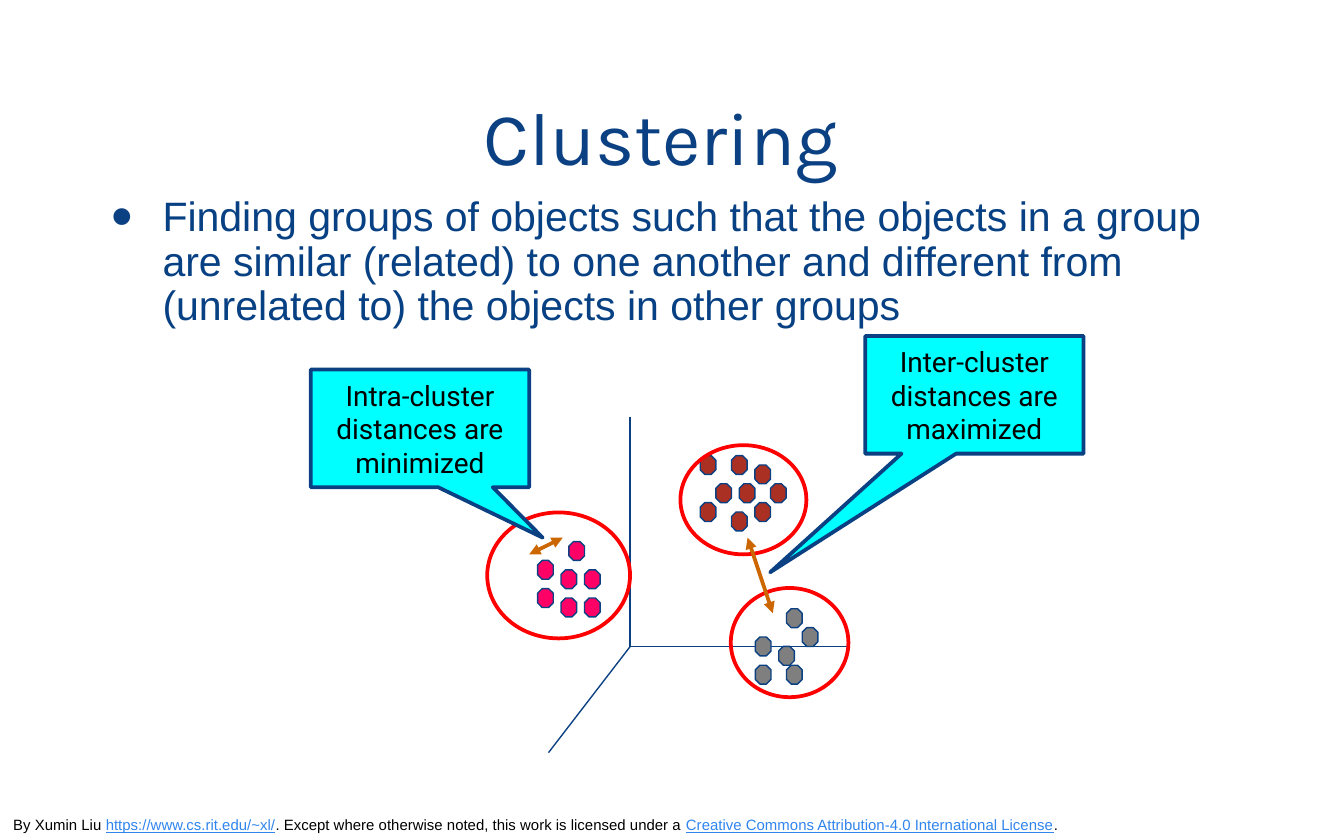
from dataclasses import dataclass
from typing import Any

from lxml import etree
from pptx import Presentation
from pptx.dml.color import RGBColor
from pptx.enum.shapes import MSO_CONNECTOR, MSO_SHAPE
from pptx.enum.text import MSO_ANCHOR, PP_ALIGN
from pptx.oxml.ns import qn
from pptx.util import Emu, Inches, Pt

STRAIGHT = MSO_CONNECTOR.STRAIGHT
OCTAGON, OVAL = MSO_SHAPE.OCTAGON, MSO_SHAPE.OVAL
CALLOUT = MSO_SHAPE.RECTANGULAR_CALLOUT
LEFT, CENTER = PP_ALIGN.LEFT, PP_ALIGN.CENTER
TOP, MIDDLE, BOTTOM = MSO_ANCHOR.TOP, MSO_ANCHOR.MIDDLE, MSO_ANCHOR.BOTTOM
COLUMNS, ROWS = 160, 100
CELL = Inches(10) / COLUMNS
DOT_STEP = (0.93, 1.12)


@dataclass(frozen=True)
class Theme:
    navy: str = "0B4183"
    body: str = "084183"
    black: str = "000000"
    link: str = "3085ED"
    cyan: str = "00FFFF"
    ring: str = "FF0000"
    arrow: str = "CC6600"
    title_size: float = 40
    body_size: float = 22
    callout_size: float = 15
    footer_size: float = 8
    thin: float = 0.75
    thick: float = 2


THEME = Theme()


@dataclass(frozen=True)
class Area:
    column: float
    row: float
    columns: float
    rows: float

    def lengths(self) -> list[Emu]:
        return [cells(n) for n in (self.column, self.row, self.columns, self.rows)]


@dataclass(frozen=True)
class Cluster:
    color: str
    column: float
    row: float
    dots: tuple[tuple[int, int], ...]
    ring: Area


@dataclass(frozen=True)
class Stroke:
    start: tuple[float, float]
    end: tuple[float, float]


@dataclass(frozen=True)
class Callout:
    text: str
    area: Area
    tip: tuple[float, float]


@dataclass(frozen=True)
class TextStyle:
    font: str
    size: float
    color: str
    align: Any = LEFT
    anchor: Any = TOP
    insets: tuple[float, float, float, float] = (0.1, 0.05, 0.1, 0.05)


CLUSTERS = (
    Cluster("A93023", 83.36, 54.24,
            ((2, 3), (5, 3), (4, 0), (4, 6), (9, 3), (7, 1), (0, 0), (7, 5), (0, 5)),
            Area(81, 53, 15, 13)),
    Cluster("FF0066", 64, 64.48,
            ((0, 2), (3, 3), (3, 6), (6, 3), (4, 0), (6, 6), (0, 5)),
            Area(58, 61, 17, 15)),
    Cluster("7F7F7F", 89.92, 72.48,
            ((6, 2), (3, 4), (0, 6), (4, 6), (0, 3), (4, 0)),
            Area(87, 70, 14, 13)),
)
ORIGIN = (75, 77)
AXES = tuple(Stroke(ORIGIN, end) for end in ((75, 49.6), (101, 77), (65.3, 89.6)))
DISTANCES = (Stroke((92, 73), (89, 64)), Stroke((63, 66), (67, 64)))
CALLOUTS = (
    Callout("Inter-cluster distances are maximized", Area(103, 40, 26, 14), (-0.935, 1.509)),
    Callout("Intra-cluster distances are minimized", Area(37, 44, 26, 14), (0.562, 0.929)),
)
TITLE = TextStyle("Karla", THEME.title_size, THEME.navy, CENTER, BOTTOM, (0.1, 0.1, 0.1, 0.1))
BODY = TextStyle("Arial", THEME.body_size, THEME.body, insets=(0.07, 0.04, 0.5, 0.04))
FOOTER = TextStyle("Arial", THEME.footer_size, THEME.black, anchor=BOTTOM)
NOTE = TextStyle("Roboto", THEME.callout_size, THEME.black, CENTER, MIDDLE)
FOOTER_SPANS = (
    ("By Xumin Liu ", False),
    ("https://www.cs.rit.edu/~xl/", True),
    (". Except where otherwise noted, this work is licensed under a ", False),
    ("Creative Commons Attribution-4.0 International License", True),
    (".", False),
)


def cells(count: float) -> Emu:
    return Emu(round(count * CELL))


def rgb(color: str) -> RGBColor:
    return RGBColor.from_string(color)


def apply(target: Any, values: dict[str, Any]) -> None:
    for name, value in values.items():
        setattr(target, name, value)


def add_element(parent: Any, tag: str, **attributes: str) -> None:
    etree.SubElement(parent, qn(tag), attributes)


def draw_line(shape: Any, color: str, width: float) -> None:
    shape.line.color.rgb = rgb(color)
    shape.line.width = Pt(width)


def write(shape: Any, spans: tuple[tuple[str, bool], ...], style: TextStyle) -> Any:
    left, top, right, bottom = map(Inches, style.insets)
    apply(shape.text_frame, {
        "word_wrap": True, "vertical_anchor": style.anchor,
        "margin_left": left, "margin_top": top,
        "margin_right": right, "margin_bottom": bottom,
    })
    para = shape.text_frame.paragraphs[0]
    para.alignment = style.align
    for text, linked in spans:
        span = para.add_run()
        span.text = text
        apply(span.font, {"name": style.font, "size": Pt(style.size), "underline": linked})
        span.font.color.rgb = rgb(THEME.link if linked else style.color)
    return para


def add_text(page: Any, area: Area, spans: tuple[tuple[str, bool], ...], style: TextStyle) -> Any:
    return write(page.shapes.add_textbox(*area.lengths()), spans, style)


def add_bullet(para: Any) -> None:
    apply(para, {"line_spacing": 0.9, "space_before": Pt(10)})
    properties = para._p.get_or_add_pPr()
    properties.set("marL", str(Inches(0.38)))
    properties.set("indent", str(-Inches(0.38)))
    color = etree.SubElement(properties, qn("a:buClr"))
    add_element(color, "a:srgbClr", val=THEME.navy)
    add_element(properties, "a:buSzPct", val="150000")
    add_element(properties, "a:buFont", typeface="Arial")
    add_element(properties, "a:buChar", char="•")


def add_figure(page: Any, kind: Any, area: Area, fill: str | None, line: str, width: float) -> Any:
    shape = page.shapes.add_shape(kind, *area.lengths())
    shape.shadow.inherit = False
    if fill is None:
        shape.fill.background()
    else:
        shape.fill.solid()
        shape.fill.fore_color.rgb = rgb(fill)
    draw_line(shape, line, width)
    return shape


def add_stroke(page: Any, stroke: Stroke, color: str, width: float, arrows: bool = False) -> None:
    ends = [cells(n) for n in (*stroke.start, *stroke.end)]
    connector = page.shapes.add_connector(STRAIGHT, *ends)
    draw_line(connector, color, width)
    properties = connector._element.spPr
    if arrows:
        for tag in ("a:headEnd", "a:tailEnd"):
            add_element(properties.find(qn("a:ln")), tag, type="triangle")
    add_element(properties, "a:effectLst")


def add_dots(page: Any, cluster: Cluster) -> None:
    across, down = DOT_STEP
    for column, row in cluster.dots:
        area = Area(cluster.column + column * across, cluster.row + row * down,
                    2 * across, 2 * down)
        add_figure(page, OCTAGON, area, cluster.color, THEME.navy, THEME.thin)


def add_callout(page: Any, callout: Callout) -> None:
    shape = add_figure(page, CALLOUT, callout.area, THEME.cyan, THEME.navy, THEME.thick)
    for index, value in enumerate(callout.tip):
        shape.adjustments[index] = value
    write(shape, ((callout.text, False),), NOTE)


def main() -> None:
    deck = Presentation()
    apply(deck, {"slide_width": cells(COLUMNS), "slide_height": cells(ROWS)})
    page = deck.slides.add_slide(deck.slide_layouts[6])
    add_text(page, Area(0, 96.32, 129.6, 3.68), FOOTER_SPANS, FOOTER)
    add_text(page, Area(10.4, 4.16, 138.56, 18.88), (("Clustering ", False),), TITLE)
    definition = ("Finding groups of objects such that the objects in a group are similar "
                  "(related) to one another and different from (unrelated to) the objects "
                  "in other groups")
    add_bullet(add_text(page, Area(12.16, 22.72, 144.48, 17.44), ((definition, False),), BODY))
    for axis in AXES:
        add_stroke(page, axis, THEME.navy, THEME.thin)
    for cluster in CLUSTERS:
        add_dots(page, cluster)
    for cluster in CLUSTERS:
        add_figure(page, OVAL, cluster.ring, None, THEME.ring, THEME.thick)
    for distance, callout in zip(DISTANCES, CALLOUTS):
        add_stroke(page, distance, THEME.arrow, THEME.thick, arrows=True)
        add_callout(page, callout)
    deck.save("out.pptx")


if __name__ == "__main__":
    main()
